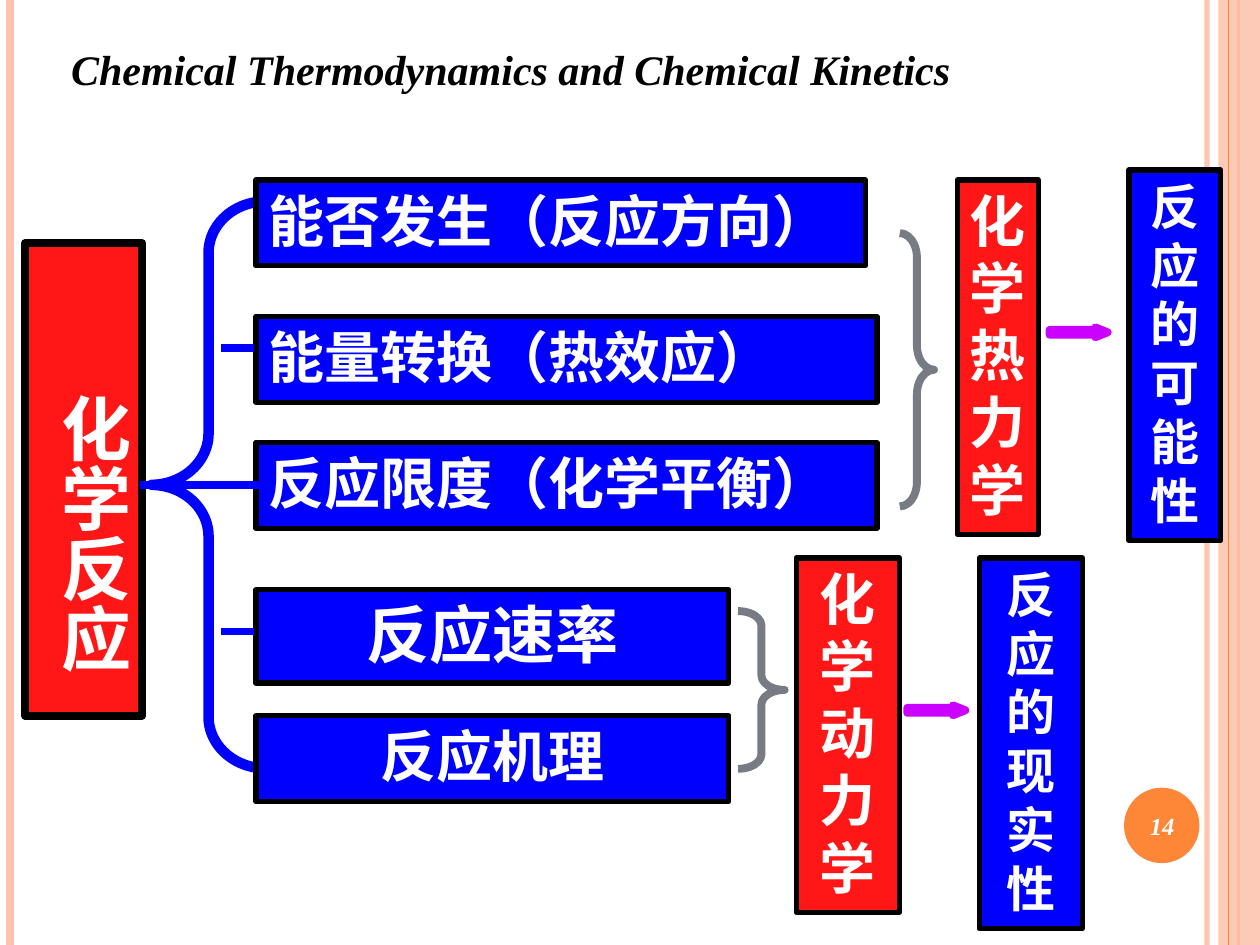
from pptx import Presentation
from pptx.dml.color import RGBColor
from pptx.enum.shapes import MSO_CONNECTOR, MSO_SHAPE
from pptx.enum.text import MSO_ANCHOR, PP_ALIGN
from pptx.oxml.ns import qn
from pptx.util import Cm, Pt
from lxml import etree

RECT, OVAL = MSO_SHAPE.RECTANGLE, MSO_SHAPE.OVAL
OPEN, CLOSE = MSO_SHAPE.LEFT_BRACE, MSO_SHAPE.RIGHT_BRACE
ARROW = MSO_SHAPE.RIGHT_ARROW
LEFT, MID = PP_ALIGN.LEFT, PP_ALIGN.CENTER
TOP, CENTRE = MSO_ANCHOR.TOP, MSO_ANCHOR.MIDDLE
STRAIGHT = MSO_CONNECTOR.STRAIGHT

WHITE = RGBColor(0xFF, 0xFF, 0xFF)
BLACK = RGBColor(0x00, 0x00, 0x00)
RED = RGBColor(0xFF, 0x17, 0x17)
BLUE = RGBColor(0x00, 0x00, 0xFF)
GREY = RGBColor(0x77, 0x7C, 0x84)
PURPLE = RGBColor(0xCC, 0x00, 0xFF)
PEACH = RGBColor(0xFE, 0xC3, 0xAE)
ORANGE = RGBColor(0xFE, 0x86, 0x37)

deck = Presentation()
deck.slide_width, deck.slide_height = Cm(25.4), Cm(19.05)
slide = deck.slides.add_slide(deck.slide_layouts[6])
shapes = slide.shapes


def rule(x1, y1, x2, y2, color, width):
    line = shapes.add_connector(STRAIGHT, Cm(x1), Cm(y1), Cm(x2), Cm(y2))
    line.line.color.rgb = color
    line.line.width = Pt(width)
    etree.SubElement(line._element.spPr, qn("a:effectLst"))
    return line


def write(shape, text, size, align, anchor, color=WHITE, italic=False):
    frame = shape.text_frame
    frame.word_wrap = True
    frame.vertical_anchor = anchor
    para = frame.paragraphs[0]
    para.alignment = align
    run = para.add_run()
    run.text = text
    run.font.color.rgb = color
    look = {"name": "Times New Roman", "size": Pt(size),
            "bold": True, "italic": italic}
    for key, value in look.items():
        setattr(run.font, key, value)


# Page edges
edge = rule(24.33, 0, 24.33, 19.05, PEACH, 3)
rule(0.2, 0, 0.2, 19.05, PEACH, 4.5)
rule(24.97, 0, 24.97, 19.05, ORANGE, 1.5)
band = shapes.add_shape(RECT, Cm(24.56), Cm(0), Cm(0.84), Cm(19.05))
disc = shapes.add_shape(OVAL, Cm(22.66), Cm(15.88), Cm(1.52), Cm(1.52))
for shape, color in ((band, PEACH), (disc, ORANGE)):
    shape.shadow.inherit = False
    shape.fill.solid()
    shape.fill.fore_color.rgb = color
    shape.line.fill.background()
for shape, alpha in ((edge, "93000"), (band, "87000")):
    tone = next(shape._element.spPr.iter(qn("a:srgbClr")))
    etree.SubElement(tone, qn("a:alpha"), val=alpha)
rule(24.77, 0, 24.77, 19.05, ORANGE, 0.75)

# Braces and arrows: kind, place, adjustments, fill, line, width
marks = [
    (OPEN, (3.05, 4.06, 2.31, 11.43), (0.45, 0.5), None, BLUE, 6),
    (CLOSE, (18.14, 4.7, 0.69, 5.51), (0.72, 0.5), WHITE, GREY, 4.5),
    (CLOSE, (14.88, 12.32, 0.94, 3.18), (0.31, 0.5), None, GREY, 4.5),
    (ARROW, (21.16, 6.6, 1.17, 0.2), (0.5, 1.25), BLUE, PURPLE, 4.5),
    (ARROW, (18.29, 14.22, 1.17, 0.2), (0.5, 1.25), BLUE, PURPLE, 4.5),
]
for kind, place, bends, fill, color, width in marks:
    mark = shapes.add_shape(kind, *map(Cm, place))
    mark.shadow.inherit = False
    for i, bend in enumerate(bends):
        mark.adjustments[i] = bend
    if fill is None:
        mark.fill.background()
    else:
        mark.fill.solid()
        mark.fill.fore_color.rgb = fill
    mark.line.color.rgb = color
    mark.line.width = Pt(width)

# Boxes: text, place, fill, line width, text size, alignment
boxes = [
    ("化学反应", (0.51, 4.9, 2.36, 9.53), RED, 4.5, 40, LEFT),
    ("能否发生（反应方向）", (5.16, 3.63, 12.29, 1.73), BLUE, 3, 32, LEFT),
    ("能量转换（热效应）", (5.16, 6.38, 12.52, 1.73), BLUE, 3, 32, LEFT),
    ("反应限度（化学平衡）", (5.16, 8.92, 12.52, 1.73), BLUE, 3, 32, LEFT),
    ("反应速率", (5.16, 11.89, 9.53, 1.88), BLUE, 3, 36, MID),
    ("反应机理", (5.16, 14.43, 9.53, 1.73), BLUE, 3, 32, MID),
    ("化学热力学", (19.3, 3.63, 1.63, 7.14), RED, 3, 32, MID),
    ("化学动力学", (16.05, 11.25, 2.08, 7.14), RED, 3, 32, MID),
    ("反应的可能性", (22.76, 3.43, 1.85, 7.47), BLUE, 3, 28, MID),
    ("反应的现实性", (19.74, 11.25, 2.08, 7.47), BLUE, 3, 28, MID),
]
for text, place, fill, width, size, align in boxes:
    box = shapes.add_shape(RECT, *map(Cm, place))
    box.shadow.inherit = False
    box.fill.solid()
    box.fill.fore_color.rgb = fill
    box.line.color.rgb = BLACK
    box.line.width = Pt(width)
    write(box, text, size, align, TOP)
    if fill == RED and align == LEFT:
        box.text_frame.margin_top = Cm(3.05)
        box.text_frame._txBody.bodyPr.set("vert", "eaVert")

# Links from the brace to the rows
for x1, x2, y in ((4.45, 5.13, 7.01), (2.82, 5.38, 9.78), (4.45, 5.13, 12.73)):
    rule(x1, y, x2, y, BLUE, 4.5)

title = shapes.add_textbox(Cm(0.1), Cm(0.33), Cm(20.4), Cm(2.13))
write(title, "Chemical Thermodynamics and Chemical Kinetics", 24, MID, CENTRE,
      BLACK, True)
title.text_frame.word_wrap = False
number = shapes.add_textbox(Cm(22.58), Cm(15.93), Cm(1.7), Cm(1.45))
write(number, "14", 14, MID, CENTRE, WHITE, True)

deck.save("out.pptx")
